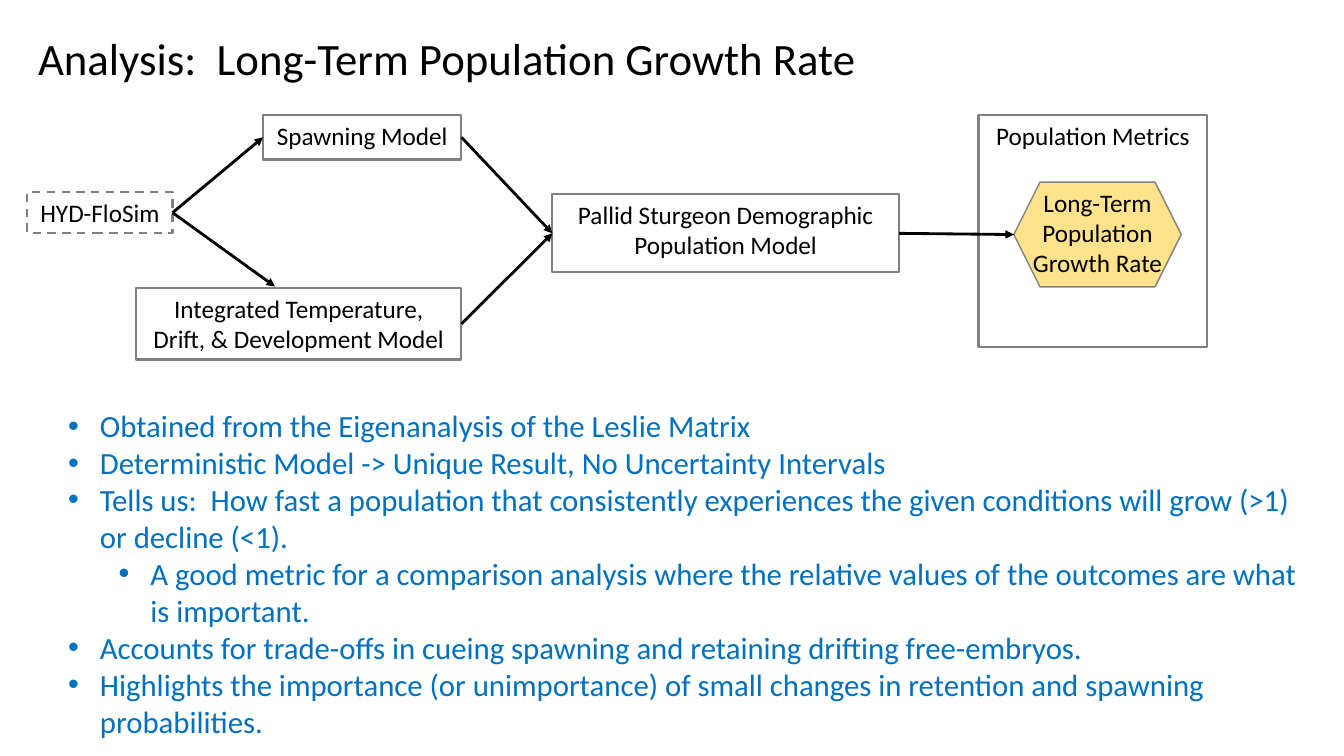
import pptx
import pptx.dml.color
import pptx.enum.dml
import pptx.enum.shapes
import pptx.enum.text
import pptx.oxml.ns
import pptx.util
from lxml import etree
from pptx.util import Cm

SHAPES = pptx.enum.shapes.MSO_SHAPE
ALIGN = pptx.enum.text.PP_ALIGN
DASH = pptx.enum.dml.MSO_LINE.DASH
RIGHT_SITE, LEFT_SITE = 3, 1


def colour(value):
    """Turn a hex string into a colour."""
    return pptx.dml.color.RGBColor.from_string(value)


def add_node(parent, tag, **values):
    """Append a DrawingML element with its attributes."""
    node = etree.SubElement(parent, pptx.oxml.ns.qn(tag))
    for name, value in values.items():
        node.set(name, value)
    return node


def apply(target, values):
    """Set every attribute named in a dict."""
    for name, value in values.items():
        setattr(target, name, value)


class Page:
    """Style and current slide, with a method for each kind of element."""

    font = "Calibri"
    ink, grey, blue, gold = "000000", "808080", "0070C0", "FFD966"

    def __init__(self, deck):
        """Add a blank slide to the deck."""
        self.shapes = deck.slides.add_slide(deck.slide_layouts[6]).shapes

    def fill_frame(self, frame, lines, size, ink, align):
        """Fill a text frame with paragraphs in one style."""
        apply(frame, {"word_wrap": True,
                      "vertical_anchor": pptx.enum.text.MSO_ANCHOR.TOP})
        for index, line in enumerate(lines):
            para = frame.add_paragraph() if index else frame.paragraphs[0]
            para.alignment = align
            span = para.add_run()
            span.text = line
            apply(span.font, {"name": self.font, "size": pptx.util.Pt(size)})
            span.font.color.rgb = colour(ink)

    def text(self, place, lines, size, ink=ink, align=ALIGN.LEFT):
        """Add a text box and return its paragraphs."""
        box = self.shapes.add_textbox(*map(Cm, place))
        self.fill_frame(box.text_frame, lines, size, ink, align)
        return box.text_frame.paragraphs

    def bullets(self, place, items, size):
        """Add a bulleted list from (level, text) pairs."""
        paras = self.text(place, [line for _, line in items], size, self.blue)
        for para, (level, _) in zip(paras, items):
            para.level = level
            props = para._p.get_or_add_pPr()
            props.set("marL", str(Cm(0.8 + 1.27 * level)))
            props.set("indent", str(Cm(-0.8)))
            add_node(props, "a:buFont", typeface="Arial")
            add_node(props, "a:buChar", char="•")

    def box(self, place, label=None, kind=SHAPES.RECTANGLE, width=1.5, dash=None):
        """Add an outlined shape with an optional centred label."""
        box = self.shapes.add_shape(kind, *map(Cm, place))
        box.shadow.inherit = False
        box.fill.background()
        box.line.color.rgb = colour(self.grey)
        apply(box.line, {"width": pptx.util.Pt(width), "dash_style": dash})
        if label:
            self.fill_frame(box.text_frame, [label], 18, self.ink, ALIGN.CENTER)
        return box

    def hexagon(self, place, label):
        """Add a translucent hexagon with its label on top."""
        box = self.box(place, kind=SHAPES.HEXAGON, width=1)
        box.fill.solid()
        box.fill.fore_color.rgb = colour(self.gold)
        tint = box._element.spPr.find(".//" + pptx.oxml.ns.qn("a:srgbClr"))
        add_node(tint, "a:alpha", val="75000")
        self.text(place, [label], 18, align=ALIGN.CENTER)
        return box

    def arrow(self, start, end, point=None):
        """Join the right of one box to the left of another, or to a point."""
        target = point or (end.left, end.top + end.height // 2)
        line = self.shapes.add_connector(
            pptx.enum.shapes.MSO_CONNECTOR.STRAIGHT, 0, 0, *target)
        line.begin_connect(start, RIGHT_SITE)
        if end.auto_shape_type == SHAPES.RECTANGLE and not point:
            line.end_connect(end, LEFT_SITE)
        line.line.color.rgb = colour(self.ink)
        line.line.width = pptx.util.Pt(2)
        add_node(line.line._get_or_add_ln(), "a:tailEnd", type="triangle")
        add_node(line._element.spPr, "a:effectLst")


deck = pptx.Presentation()
apply(deck, {"slide_width": Cm(33.87), "slide_height": Cm(19.05)})
page = Page(deck)

page.text((0.71, 0.64, 32.36, 1.63),
          ["Analysis:  Long-Term Population Growth Rate"], 32)

page.box((24.66, 2.9, 5.77, 5.84), "Population Metrics")
growth = page.hexagon((25.55, 4.59, 4.22, 2.64), "Long-Term Population Growth Rate")
spawning = page.box((6.63, 2.9, 5, 1.12), "Spawning Model")
drift = page.box((3.43, 7.26, 8.2, 1.8),
                 "Integrated Temperature, Drift, & Development Model")
sturgeon = page.box((13.92, 4.9, 8.74, 1.96),
                    "Pallid Sturgeon Demographic Population Model")
reservoir = page.box((0.69, 4.85, 3.66, 1.02), "HYD-FloSim", dash=DASH)

for start, end in ((sturgeon, growth), (spawning, sturgeon),
                   (drift, sturgeon), (reservoir, spawning)):
    page.arrow(start, end)
page.arrow(reservoir, drift, point=(Cm(6.93), Cm(7.22)))

page.bullets((1.47, 10.13, 31.57, 8.71), [
    (0, "Obtained from the Eigenanalysis of the Leslie Matrix"),
    (0, "Deterministic Model -> Unique Result, No Uncertainty Intervals"),
    (0, "Tells us:  How fast a population that consistently experiences "
        "the given conditions will grow (>1) or decline (<1)."),
    (1, "A good metric for a comparison analysis where the relative values "
        "of the outcomes are what is important."),
    (0, "Accounts for trade-offs in cueing spawning and retaining drifting "
        "free-embryos."),
    (0, "Highlights the importance (or unimportance) of small changes in "
        "retention and spawning probabilities."),
], 22)

deck.save("out.pptx")
